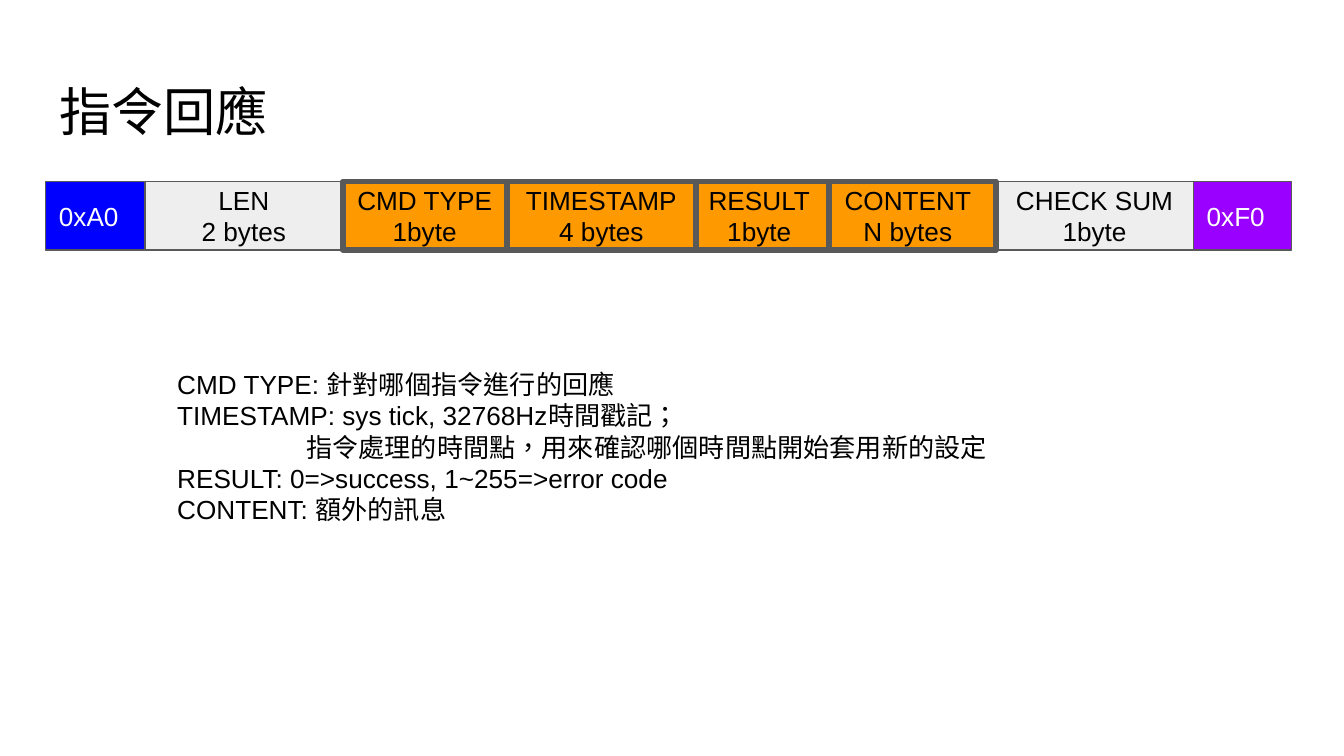
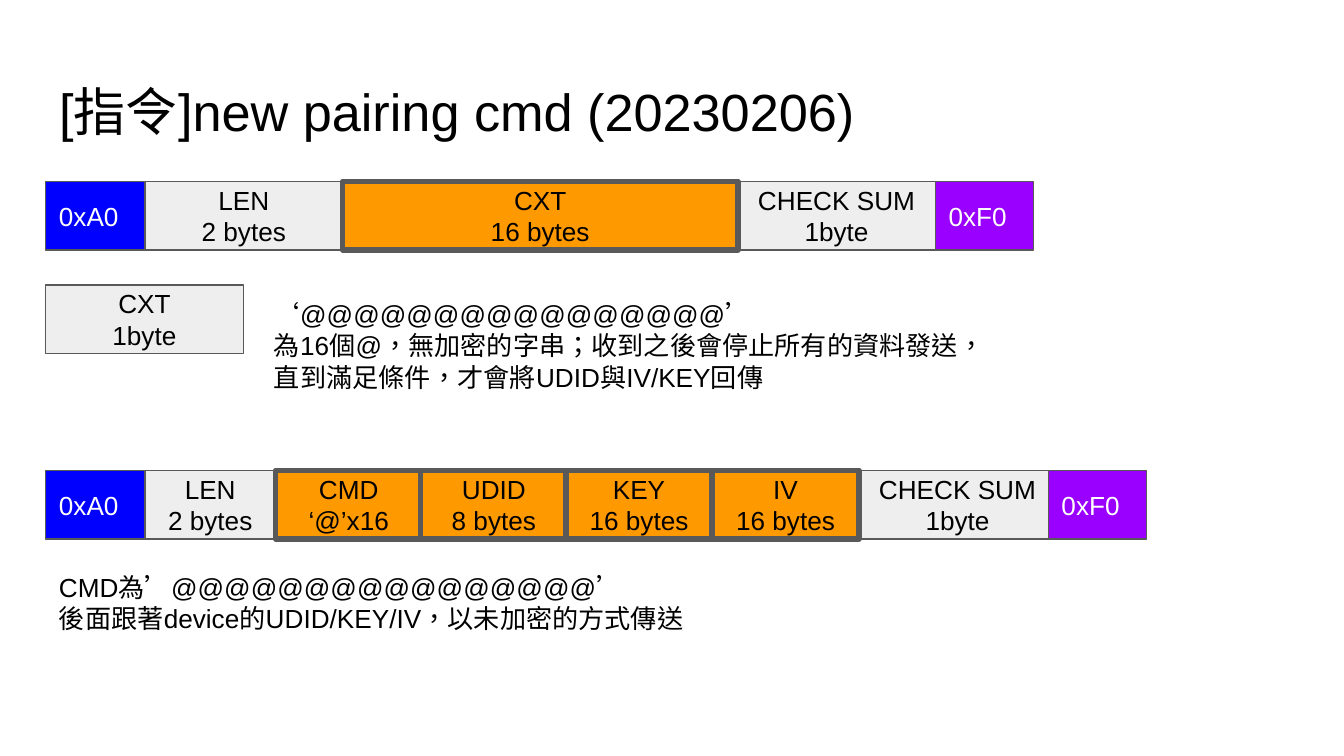
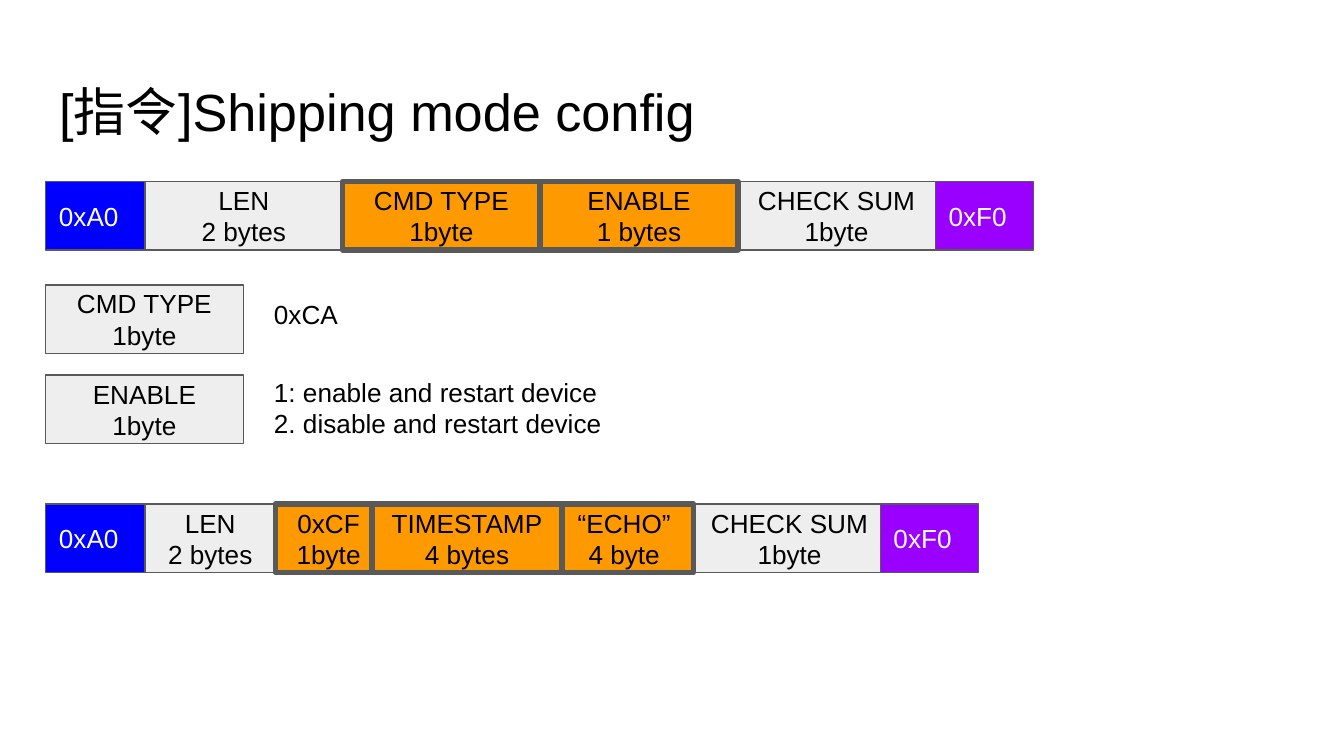
"""Build three slides that describe the packets of a command protocol."""
from dataclasses import dataclass, replace

from pptx import Presentation
from pptx.dml.color import RGBColor as Rgb
from pptx.enum.lang import MSO_LANGUAGE_ID as Lang
from pptx.enum.shapes import MSO_SHAPE as Shape
from pptx.enum.text import MSO_ANCHOR as Anchor, PP_ALIGN as Align
from pptx.util import Inches, Pt

FONT = "Arial"
LEFT = 0.34
ROW = 1.35
HIGH = 0.51
WIDE = 1.47
INSET = 0.1
COLORS = {
    "head": "0000FF",
    "tail": "9900FF",
    "plain": "EEEEEE",
    "load": "FF9900",
    "line": "595959",
    "dark": "000000",
    "light": "FFFFFF",
}


@dataclass(frozen=True)
class Field:
    """One field of a packet; lap is how far the next field runs under or over it."""
    text: str
    width: float = WIDE
    tone: str = "plain"
    lap: float = 0
    layer: int = 0


@dataclass(frozen=True)
class Packet:
    """A row of fields laid from left to right."""
    top: float
    fields: tuple[Field, ...]


@dataclass(frozen=True)
class Note:
    """Free text; hang indents the lines after the first of each paragraph."""
    left: float
    top: float
    width: float
    height: float
    lines: tuple[str, ...]
    hang: float = 0


@dataclass(frozen=True)
class Key:
    """A grey box in the left column."""
    top: float
    text: str


@dataclass(frozen=True)
class Page:
    """The content of one slide."""
    title: str
    packets: tuple[Packet, ...]
    keys: tuple[Key, ...]
    notes: tuple[Note, ...]


def load(text: str, width: float, lap: float = 0, layer: int = 1) -> Field:
    """Return an orange payload field."""
    return Field(text, width, "load", lap, layer)


HEAD = Field("0xA0", 0.74, "head")
TAIL = Field("0xF0", 0.73, "tail")
LEN = Field("LEN\v2 bytes")
SHORT = replace(LEN, width=0.97)
SUM = Field("CHECK SUM\v1byte")
TIGHT = replace(SUM, lap=0.06)
STAMP = load("TIMESTAMP\v4 bytes", 1.41, 0.05, 3)

PAGES = (
    Page(
        "指令回應",
        (Packet(ROW, (
            HEAD, LEN, load("CMD TYPE\v1byte", 1.22), STAMP,
            load("RESULT\v1byte", 1.04, 0.07, 2),
            load("CONTENT\vN bytes", 1.31), SUM, TAIL)),),
        (),
        (Note(1.22, 2.64, 8.44, 0.97, (
            "CMD TYPE: 針對哪個指令進行的回應",
            "TIMESTAMP: sys tick, 32768Hz時間戳記；\v"
            "指令處理的時間點，用來確認哪個時間點開始套用新的設定",
            "RESULT: 0=>success, 1~255=>error code",
            "CONTENT: 額外的訊息"), 0.96),),
    ),
    Page(
        "[指令]new pairing cmd (20230206)",
        (
            Packet(ROW, (HEAD, LEN, load("CXT\v16 bytes", 2 * WIDE), SUM, TAIL)),
            Packet(3.5, (
                HEAD, SHORT, load("CMD\v‘@’x16", 1.09, 0.01),
                load("UDID\v8 bytes", 1.09, 0.01), load("KEY\v16 bytes", 1.09),
                load("IV\v16 bytes", 1.09), TIGHT, TAIL)),
        ),
        (Key(2.12, "CXT\v1byte"),),
        (
            Note(1.94, 2.12, 6.09, 0.45, (
                "‘@@@@@@@@@@@@@@@@’\v為16個@，無加密的字串；收到之後會停止所有的資料發送，",
                "直到滿足條件，才會將UDID與IV/KEY回傳")),
            Note(LEFT, 4.15, 6.21, 1.25, (
                "CMD為’@@@@@@@@@@@@@@@@’\v後面跟著device的UDID/KEY/IV，以未加密的方式傳送",)),
        ),
    ),
    Page(
        "[指令]Shipping mode config",
        (
            Packet(ROW, (
                HEAD, LEN, load("CMD TYPE\v1byte", WIDE),
                load("ENABLE\v1 bytes", WIDE), SUM, TAIL)),
            Packet(3.75, (
                HEAD, SHORT, load("0xCF\v1byte", 0.79, 0.07), STAMP,
                load("“ECHO”\v4 byte", 1.03, 0.02), TIGHT, TAIL)),
        ),
        (Key(2.12, "CMD TYPE\v1byte"), Key(2.79, "ENABLE\v1byte")),
        (
            Note(1.94, 2.12, 2.87, 0.74, ("0xCA",)),
            Note(1.94, 2.7, 2.87, 0.74, (
                "1: enable and restart device\v2. disable and restart device",)),
        ),
    ),
)


def tint(name: str) -> Rgb:
    """Return a named colour."""
    return Rgb.from_string(COLORS[name])


def write(frame, text: str, size: int = 14, color: str = "dark",
          align: Align = Align.LEFT, anchor: Anchor = Anchor.TOP) -> None:
    """Fill a text frame and format all its runs."""
    frame.text = text
    frame.word_wrap = True
    frame.vertical_anchor = anchor
    frame.margin_left = frame.margin_right = Inches(INSET)
    frame.margin_top = frame.margin_bottom = Inches(INSET)
    for para in frame.paragraphs:
        para.alignment = align
        for run in para.runs:
            run.font.name = FONT
            run.font.size = Pt(size)
            run.font.color.rgb = tint(color)
            run.font.language_id = Lang.TRADITIONAL_CHINESE


def box(slide, left: float, top: float, field: Field) -> None:
    """Draw one field as a rectangle."""
    shape = slide.shapes.add_shape(
        Shape.RECTANGLE, Inches(left), Inches(top), Inches(field.width), Inches(HIGH))
    shape.shadow.inherit = False
    shape.fill.solid()
    shape.fill.fore_color.rgb = tint(field.tone)
    shape.line.color.rgb = tint("line")
    shape.line.width = Pt(3 if field.tone == "load" else 0.75)
    mark = field.tone in ("head", "tail")
    write(shape.text_frame, field.text, color="light" if mark else "dark",
          align=Align.LEFT if mark else Align.CENTER, anchor=Anchor.MIDDLE)


def chain(slide, packet: Packet) -> None:
    """Draw the fields of a packet, lower layers first."""
    left = LEFT
    spots = []
    for field in packet.fields:
        spots.append((left, field))
        left += field.width - field.lap
    for left, field in sorted(spots, key=lambda spot: spot[1].layer):
        box(slide, left, packet.top, field)


def jot(slide, note: Note) -> None:
    """Draw a note."""
    shape = slide.shapes.add_textbox(
        Inches(note.left), Inches(note.top), Inches(note.width), Inches(note.height))
    frame = shape.text_frame
    write(frame, "\n".join(note.lines))
    if note.hang:
        for para in frame.paragraphs:
            props = para._p.get_or_add_pPr()
            props.set("marL", str(Inches(note.hang)))
            props.set("indent", str(-Inches(note.hang)))


def build(deck, page: Page) -> None:
    """Add one slide."""
    slide = deck.slides.add_slide(deck.slide_layouts[5])
    title = slide.shapes.title
    title.left, title.top = Inches(LEFT), Inches(0.49)
    title.width, title.height = Inches(9.32), Inches(0.63)
    write(title.text_frame, page.title, 28)
    for packet in page.packets:
        chain(slide, packet)
    for key in page.keys:
        box(slide, LEFT, key.top, Field(key.text))
    for note in page.notes:
        jot(slide, note)


def main() -> None:
    """Build and save the deck."""
    deck = Presentation()
    deck.slide_width = Inches(10)
    deck.slide_height = Inches(10 * 9 / 16)
    for page in PAGES:
        build(deck, page)
    deck.save("out.pptx")


if __name__ == "__main__":
    main()
